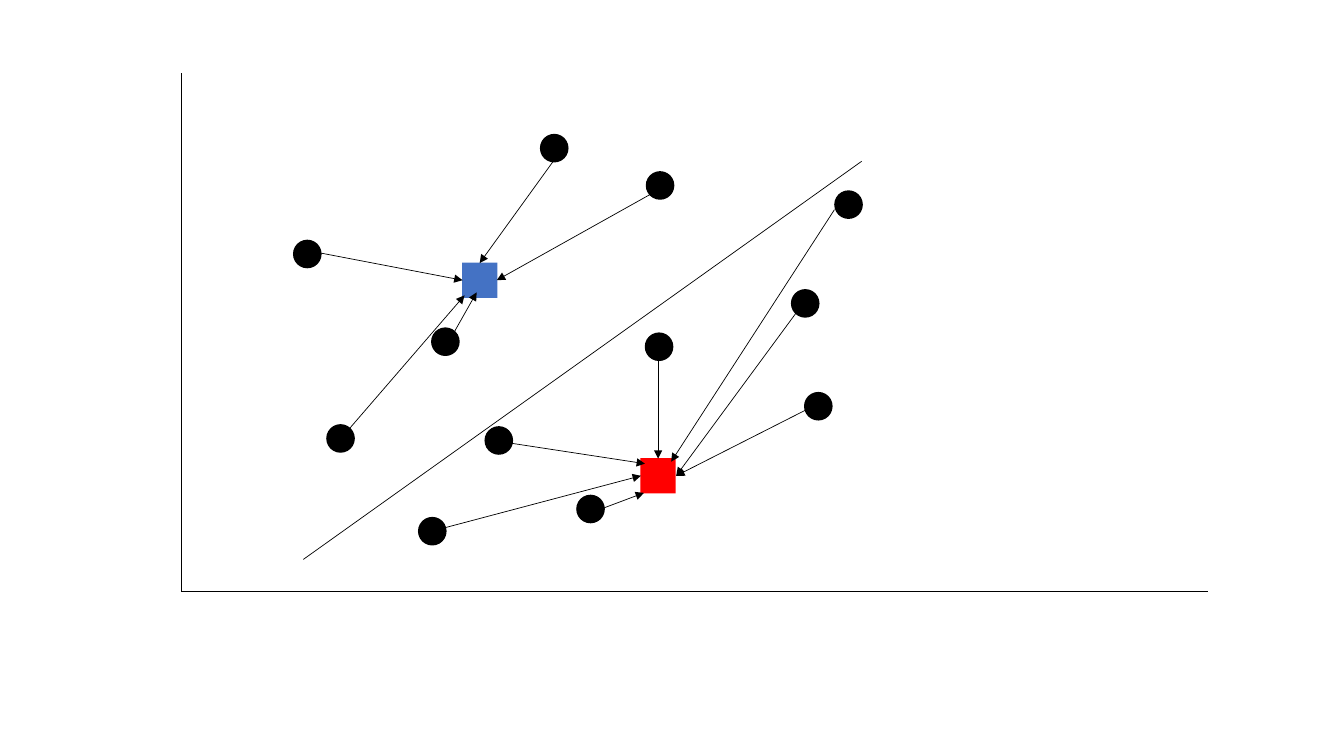
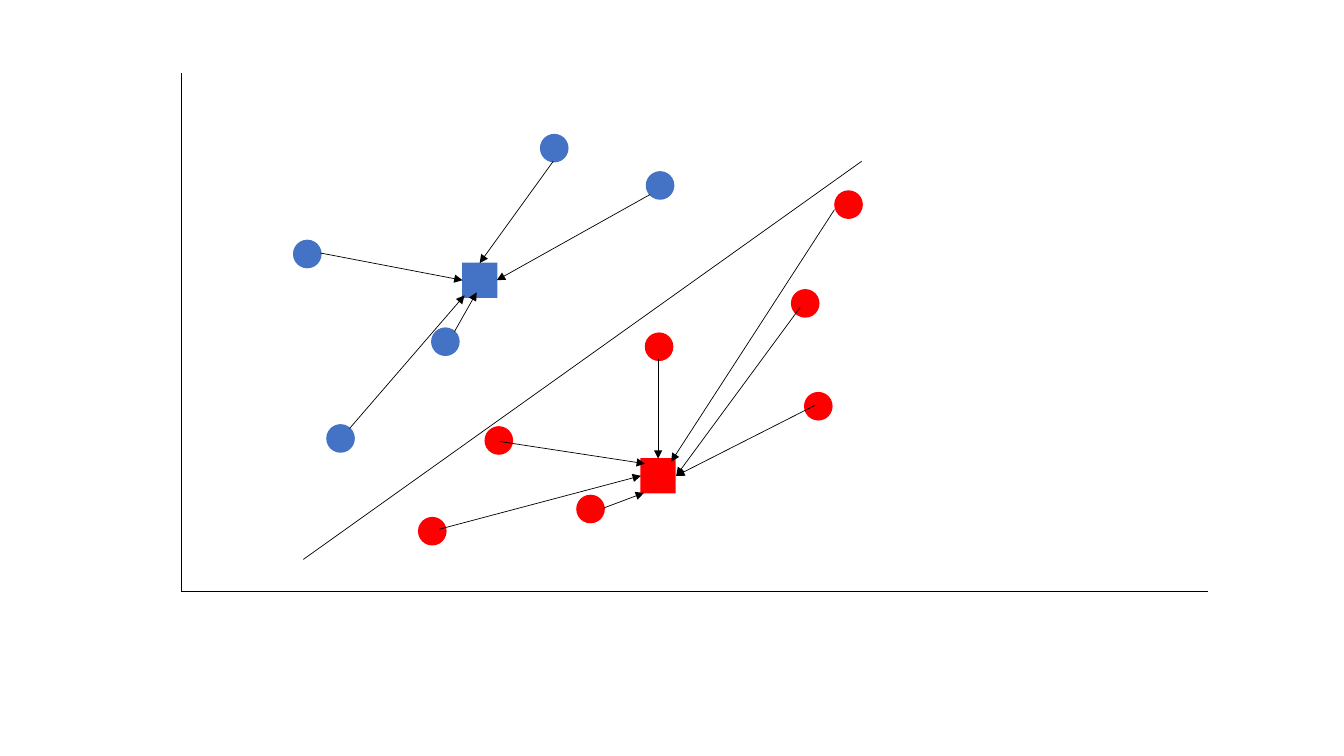
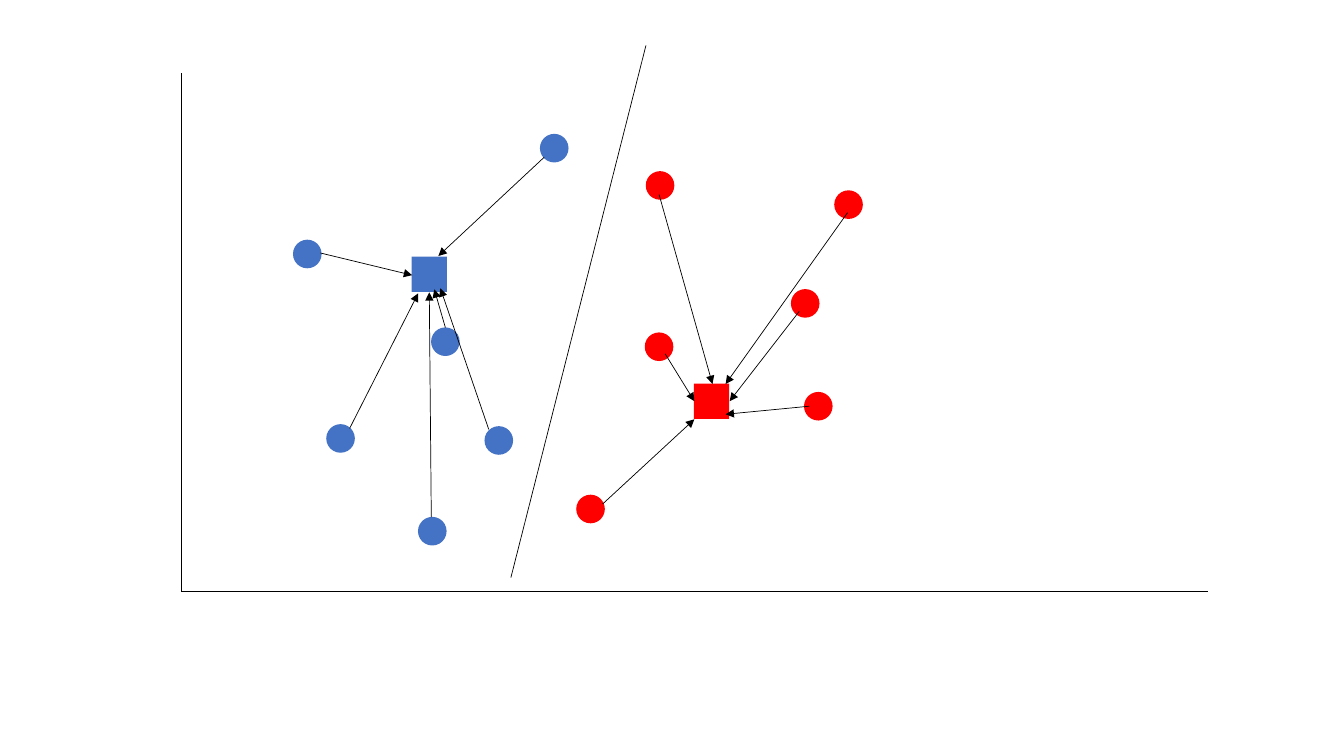
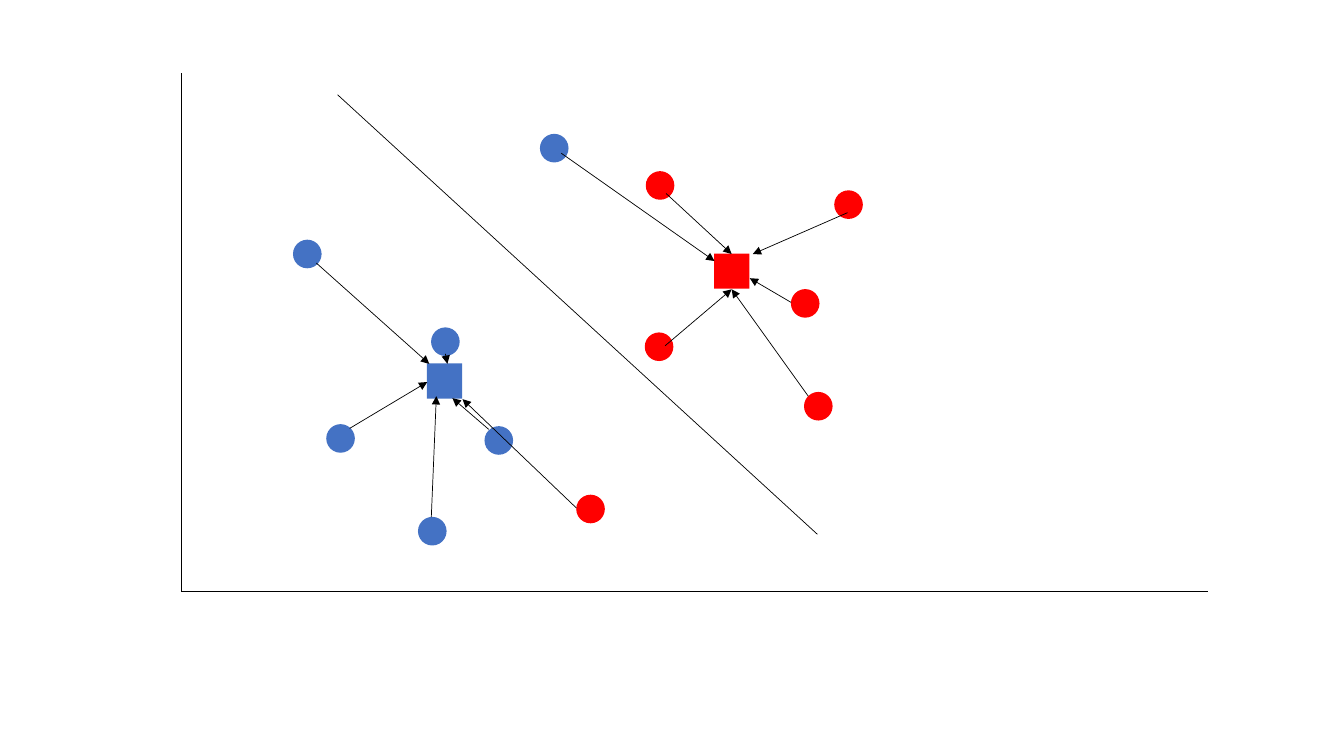
from collections import namedtuple

from pptx import Presentation
from pptx import util as u
from pptx.dml.color import RGBColor
from pptx.enum import shapes
from pptx.oxml.ns import qn
from lxml import etree

BLACK, BLUE, RED = "000000", "4472C4", "FF0000"
COLOURS = {"k": BLACK, "b": BLUE, "r": RED}

Box = namedtuple("Box", "left top width height")
Step = namedtuple("Step", "point_colours blue_centroid red_centroid boundary arrows")

PLOT = Box(4.57, 1.83, 25.88, 13.08)  # centimetres
UNIT = 2.54  # centimetres per plot unit; the origin is where the axes meet
POINT_SIZE = 0.27
CENTROID_SIZE = 0.35

POINTS = [
    (1.58, 1.52), (3.15, 1.5), (2.62, 2.48), (2.49, 0.6),
    (4.06, 0.82), (4.74, 2.43), (6.19, 2.86), (4.75, 4.03),
    (6.62, 3.84), (6.32, 1.84), (1.25, 3.35), (3.7, 4.4),
]

# Lines are (start x, start y, end x, end y) in plot units.
FIRST = Step(
    "k" * len(POINTS), (2.96, 3.09), (4.73, 1.15), (1.21, 0.32, 6.75, 4.27),
    [
        (1.38, 3.36, 2.79, 3.09), (1.67, 1.62, 2.81, 2.94),
        (2.71, 2.58, 2.93, 2.97), (2.56, 0.62, 4.56, 1.15),
        (4.19, 0.83, 4.59, 0.98), (3.16, 1.49, 4.6, 1.27),
        (4.73, 2.31, 4.73, 1.32), (4.65, 3.94, 3.13, 3.09),
        (6.48, 3.79, 4.86, 1.29), (6.14, 2.82, 4.91, 1.15),
        (6.29, 1.85, 4.91, 1.15), (3.69, 4.27, 2.96, 3.26),
    ],
)
ASSIGNED = FIRST._replace(point_colours="brbrrrrbrrbb")
MOVED = Step(
    "bbbbrrrrrrbb", (2.46, 3.15), (5.26, 1.89), (4.61, 5.42, 3.27, 0.14),
    [
        (1.38, 3.36, 2.29, 3.14), (3.6, 4.31, 2.55, 3.33),
        (1.67, 1.62, 2.35, 2.96), (2.48, 0.74, 2.46, 2.97),
        (3.05, 1.61, 2.57, 3.01), (2.62, 2.62, 2.51, 3),
        (4.74, 3.94, 5.27, 2.06), (4.8, 2.36, 5.09, 1.89),
        (4.18, 0.87, 5.09, 1.71), (6.61, 3.76, 5.4, 2.06),
        (6.13, 2.78, 5.44, 1.89), (6.23, 1.84, 5.4, 1.76),
    ],
)
REASSIGNED = MOVED._replace(
    blue_centroid=(2.61, 2.09), red_centroid=(5.46, 3.18),
    boundary=(1.55, 4.93, 6.31, 0.57),
    arrows=[
        (3.92, 0.83, 2.79, 1.91), (2.48, 0.74, 2.53, 1.94),
        (1.67, 1.62, 2.44, 2.08), (1.34, 3.26, 2.46, 2.26),
        (3.05, 1.61, 2.69, 1.92), (2.62, 2.36, 2.64, 2.26),
        (3.77, 4.35, 5.29, 3.28), (4.81, 3.95, 5.46, 3.35),
        (6.61, 3.76, 5.67, 3.35), (4.8, 2.44, 5.46, 3),
        (6.22, 1.94, 5.46, 3), (6.05, 2.87, 5.64, 3.11),
    ],
)


def colour(hex_string):
    return RGBColor.from_string(hex_string)


def place(box, x, y):
    """Turn plot units, y upwards, into a position on the slide."""
    return u.Cm(box.left + x * UNIT), u.Cm(box.top + box.height - y * UNIT)


def add_line(slide, box, ends, arrow=False):
    x1, y1, x2, y2 = ends
    line = slide.shapes.add_connector(
        shapes.MSO_CONNECTOR.STRAIGHT, *place(box, x1, y1), *place(box, x2, y2))
    line.line.color.rgb = colour(BLACK)
    line.line.width = u.Pt(0.5)
    properties = line._element.spPr
    if arrow:
        outline = properties.find(qn("a:ln"))
        etree.SubElement(outline, qn("a:tailEnd"), type="triangle")
    etree.SubElement(properties, qn("a:effectLst"))


def add_marker(slide, box, kind, centre, size, fill, outlined=False):
    x, y = centre
    left, top = place(box, x - size / 2, y + size / 2)
    side = u.Cm(size * UNIT)
    marker = slide.shapes.add_shape(kind, left, top, side, side)
    marker.shadow.inherit = False
    marker.fill.solid()
    marker.fill.fore_color.rgb = colour(fill)
    if outlined:
        marker.line.color.rgb = colour(fill)
        marker.line.width = u.Pt(1)
    else:
        marker.line.fill.background()


def add_axes(slide, box):
    add_line(slide, box, (0, 0, box.width / UNIT, 0))
    add_line(slide, box, (0, 0, 0, box.height / UNIT))


def add_cluster_plot(slide, box, step):
    add_axes(slide, box)
    for centre, key in zip(POINTS, step.point_colours):
        add_marker(slide, box, shapes.MSO_SHAPE.OVAL, centre, POINT_SIZE,
                   COLOURS[key], outlined=True)
    for centre, fill in ((step.blue_centroid, BLUE), (step.red_centroid, RED)):
        add_marker(slide, box, shapes.MSO_SHAPE.RECTANGLE, centre, CENTROID_SIZE, fill)
    for ends in step.arrows:
        add_line(slide, box, ends, arrow=True)
    add_line(slide, box, step.boundary)


def main():
    presentation = Presentation()
    presentation.slide_width = u.Cm(33.87)
    presentation.slide_height = u.Cm(19.05)
    blank = presentation.slide_layouts[6]
    for step in (FIRST, ASSIGNED, MOVED, REASSIGNED):
        add_cluster_plot(presentation.slides.add_slide(blank), PLOT, step)
    presentation.save("out.pptx")


if __name__ == "__main__":
    main()
